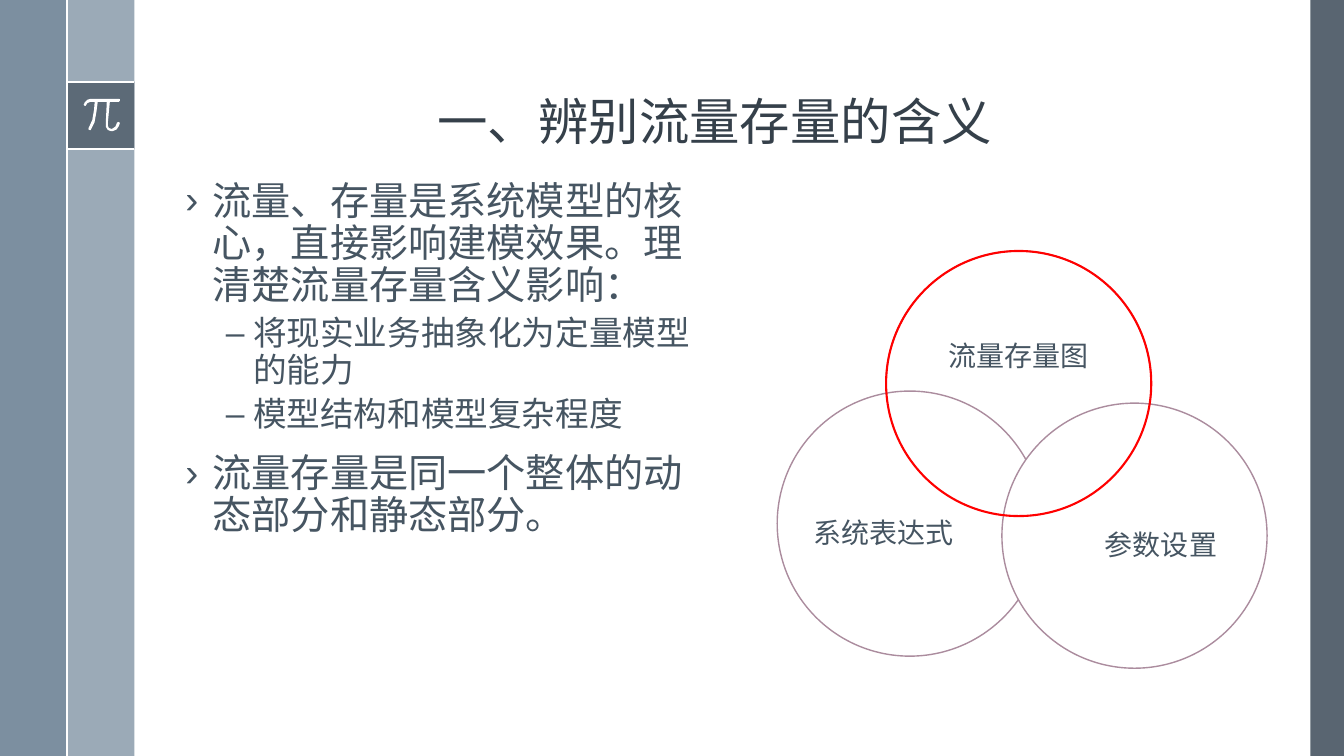
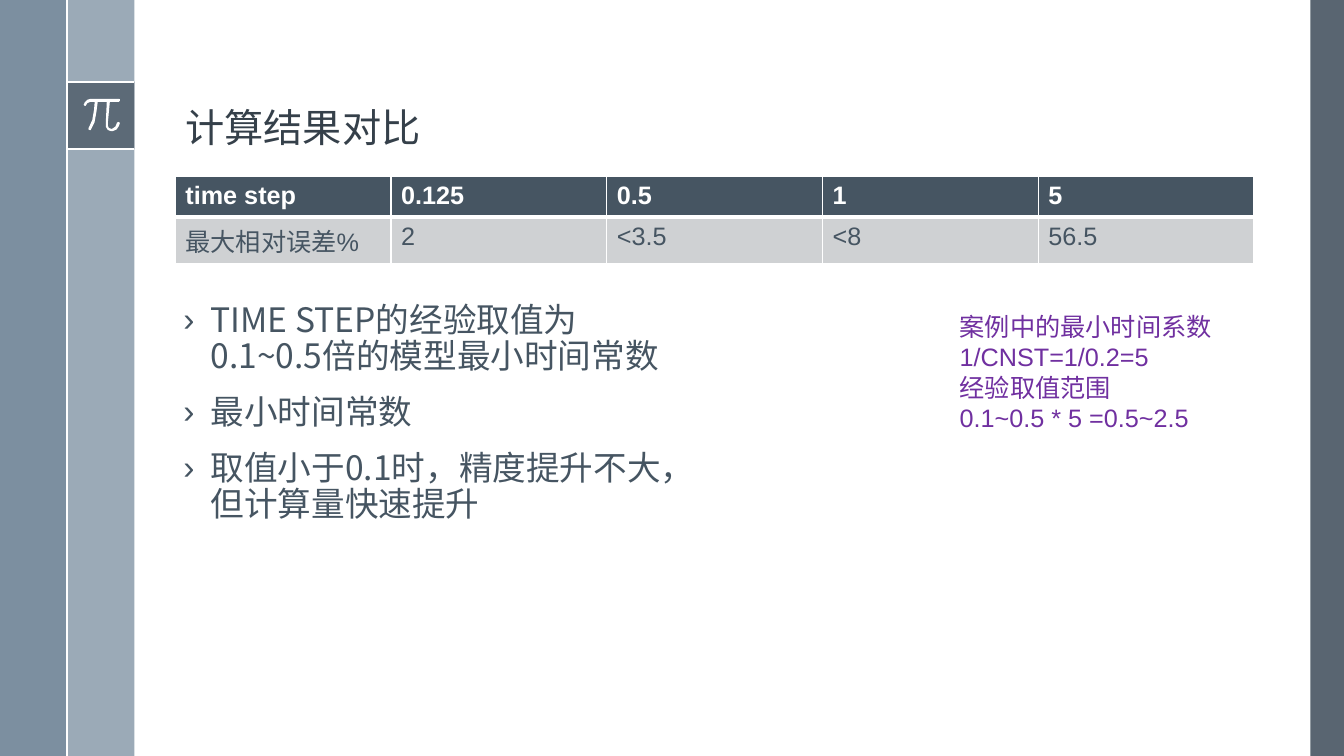
import pptx
import pptx.util
import pptx.oxml
import pptx.oxml.ns
import pptx.dml.color
import pptx.enum.shapes
import pptx.enum.text
from lxml import etree

Pt = pptx.util.Pt
RGB = pptx.dml.color.RGBColor
SHAPE = pptx.enum.shapes.MSO_SHAPE
ANCHOR = pptx.enum.text.MSO_ANCHOR
AUTO_SIZE = pptx.enum.text.MSO_AUTO_SIZE
ALIGN = pptx.enum.text.PP_ALIGN
qn = pptx.oxml.ns.qn

SLATE = RGB(0x47, 0x55, 0x62)
STEEL = RGB(0x6A, 0x80, 0x93)
MIST = RGB(0x9B, 0xAA, 0xB7)
INK = RGB(0x35, 0x40, 0x4A)
TEXT = RGB(0x46, 0x55, 0x62)
CELL = RGB(0xCF, 0xD1, 0xD3)
MAUVE = RGB(0xAB, 0x8C, 0x9E)
RED = RGB(0xFF, 0x00, 0x00)
PURPLE = RGB(0x70, 0x30, 0xA0)
WHITE = RGB(0xFF, 0xFF, 0xFF)
CJK, LATIN = "Noto Sans CJK SC", "Arial"

deck = pptx.Presentation()
deck.slide_width = pptx.util.Inches(13.33)
deck.slide_height = pptx.util.Inches(7.5)
COL, ROW = deck.slide_width / 100, deck.slide_height / 100
BAND = 5 * COL
LEFT, WIDTH = 13.05, 80.25


def box(left, top, width, height):
    """Turn hundredths of the slide's size into lengths."""
    return [round(n) for n in (left * COL, top * ROW, width * COL, height * ROW)]


def paint(shape, fill=None, opacity=100, line=None, weight=1):
    shape.shadow.inherit = False
    if fill is None:
        shape.fill.background()
    else:
        shape.fill.solid()
        shape.fill.fore_color.rgb = fill
        if opacity < 100:
            color = shape._element.spPr.find(qn("a:solidFill"))[0]
            etree.SubElement(color, qn("a:alpha"), val=str(opacity * 1000))
    if line is None:
        shape.line.fill.background()
    else:
        shape.line.color.rgb = line
        shape.line.width = Pt(weight)


# Shared text styles on the master
master = deck.slide_master
styles = [
    ("title", 1, 36, INK, 'algn="ctr"', 0, None),
    ("body", 1, 28, TEXT, 'marL="246888" indent="-246888"', 14, "›"),
    ("body", 2, 24, TEXT, 'marL="612648" indent="-246888"', 6, "–"),
]
for kind, level, size, color, layout, before, bullet in styles:
    mark = f'<a:buFont typeface="{LATIN}"/><a:buChar char="{bullet}"/>' if bullet else "<a:buNone/>"
    style = pptx.oxml.parse_xml(
        f'<a:lvl{level}pPr {pptx.oxml.ns.nsdecls("a")} {layout}>'
        f'<a:lnSpc><a:spcPct val="90000"/></a:lnSpc>'
        f'<a:spcBef><a:spcPts val="{before * 100}"/></a:spcBef>{mark}'
        f'<a:defRPr sz="{size * 100}"><a:solidFill><a:srgbClr val="{color}"/></a:solidFill>'
        f'<a:latin typeface="{CJK}"/><a:ea typeface="{CJK}"/></a:defRPr></a:lvl{level}pPr>')
    old = master.element.find(f".//{qn(f'p:{kind}Style')}/{qn(f'a:lvl{level}pPr')}")
    old.getparent().replace(old, style)

areas = [(LEFT, 2.53, WIDTH, 18.13), (LEFT, 23.33, WIDTH, 66.67)]
for holder, area in zip(master.placeholders, areas):
    holder.left, holder.top, holder.width, holder.height = box(*area)
    holder.text_frame.auto_size = AUTO_SIZE.NONE
master.placeholders[0].text_frame.vertical_anchor = ANCHOR.BOTTOM

meaning, results = [deck.slides.add_slide(deck.slide_layouts[1]) for _ in range(2)]

# Shared bands, rules and pi sign, drawn once and moved to the master
frame = []
bands = [
    ((97.5, 0, 2.5, 100), SLATE, 90),
    ((5, 0, 5, 100), MIST, 100),
    ((0, 0, 5, 100), STEEL, 88),
    ((5, 10.8, 5, 8.87), SLATE, 75),
]
for area, color, opacity in bands:
    band = meaning.shapes.add_shape(SHAPE.RECTANGLE, *box(*area))
    paint(band, color, opacity)
    frame.append(band)

for x1, y1, x2, y2 in [(5, 10.8, 10, 10.8), (5, 19.67, 10, 19.67), (5, 0, 5, 100)]:
    start, end = box(x1, y1, 0, 0)[:2], box(x2, y2, 0, 0)[:2]
    rule = meaning.shapes.add_connector(
        pptx.enum.shapes.MSO_CONNECTOR.STRAIGHT, *start, *end)
    rule.line.color.rgb = WHITE
    rule.line.width = Pt(1.5)
    etree.SubElement(rule._element.spPr, qn("a:effectLst"))
    frame.append(rule)

# Outline in thousandths of an inch
pi_points = [
    (1180, 980), (900, 980), (866, 990), (842, 1015), (830, 1040), (840, 1050),
    (850, 1050), (868, 1022), (900, 1010), (940, 1010), (933, 1090), (916, 1190),
    (880, 1270), (877, 1283), (890, 1290), (900, 1290), (938, 1215), (958, 1105),
    (970, 1010), (1060, 1010), (1050, 1220), (1052, 1260), (1070, 1290),
    (1100, 1300), (1120, 1300), (1157, 1285), (1180, 1250), (1190, 1220),
    (1180, 1210), (1162, 1215), (1146, 1255), (1110, 1280), (1080, 1270),
    (1072, 1250), (1070, 1220), (1090, 1010), (1180, 1010), (1190, 1000),
    (1190, 985)]
outline = meaning.shapes.build_freeform(*pi_points[0], scale=914.4)
outline.add_line_segments(pi_points[1:], close=True)
pi_sign = outline.convert_to_shape()
paint(pi_sign, WHITE)
frame.append(pi_sign)

master_tree = master.element.cSld.spTree
for number, part in enumerate(frame):
    part._element.xpath(".//p:cNvPr")[0].set("id", str(100 + number))
    master_tree.insert(2 + number, part._element)

# Titles and lists
pages = [
    (meaning, "一、辨别流量存量的含义", 36, ALIGN.CENTER, (LEFT, 23.33, 40.2, 66.67), [
        (0, 28, "流量、存量是系统模型的核心，直接影响建模效果。理清楚流量存量含义影响："),
        (1, 24, "将现实业务抽象化为定量模型的能力"),
        (1, 24, "模型结构和模型复杂程度"),
        (0, 28, "流量存量是同一个整体的动态部分和静态部分。")]),
    (results, "计算结果对比", 28, ALIGN.LEFT, (12.9, 39.47, 38.1, 37.2), [
        (0, 24, "TIME STEP的经验取值为0.1~0.5倍的模型最小时间常数"),
        (0, 24, "最小时间常数"),
        (0, 24, "取值小于0.1时，精度提升不大，但计算量快速提升")]),
]
for slide, heading, heading_size, alignment, area, points in pages:
    title, body = slide.placeholders
    heading_line = title.text_frame.paragraphs[0]
    heading_line.alignment = alignment
    run = heading_line.add_run()
    run.text = heading
    run.font.size = Pt(heading_size)
    body.left, body.top, body.width, body.height = box(*area)
    for index, (level, size, words) in enumerate(points):
        frame_text = body.text_frame
        point = frame_text.add_paragraph() if index else frame_text.paragraphs[0]
        point.level = level
        run = point.add_run()
        run.text = words
        run.font.size = Pt(size)

# Three overlapping circles; label centres are shares of the diameter
diameter = round(19.73 * COL)
label_width, label_height = box(0, 0, 14, 7)[2:]
circles = [
    ("流量存量图", 65.93, 33.2, 0.5, 0.4),
    ("系统表达式", 57.83, 51.73, 0.4, 0.54),
    ("参数设置", 74.55, 53.33, 0.6, 0.54),
]
for words, left, top, across, down in circles:
    x, y = box(left, top, 0, 0)[:2]
    circle = meaning.shapes.add_shape(SHAPE.OVAL, x, y, diameter, diameter)
    paint(circle, WHITE, line=MAUVE)
    label = meaning.shapes.add_textbox(
        round(x + across * diameter - label_width / 2),
        round(y + down * diameter - label_height / 2), label_width, label_height)
    label_text = label.text_frame
    label_text.word_wrap = True
    label_text.vertical_anchor = ANCHOR.MIDDLE
    label_text.margin_left = label_text.margin_right = 0
    label_text.margin_top = label_text.margin_bottom = 0
    label_line = label_text.paragraphs[0]
    label_line.alignment = ALIGN.CENTER
    label_line.line_spacing = 0.9
    run = label_line.add_run()
    run.text = words
    run.font.name, run.font.size = LATIN, Pt(20)
    run.font.color.rgb = TEXT

highlight = meaning.shapes.add_shape(
    SHAPE.OVAL, *box(*circles[0][1:3], 0, 0)[:2], diameter, diameter)
paint(highlight, line=RED, weight=1.5)

# Error table
errors = [
    ["time step", "0.125", "0.5", "1", "5"],
    ["最大相对误差%", "2", "<3.5", "<8", "56.5"],
]
error_table = results.shapes.add_table(
    len(errors), len(errors[0]), *box(LEFT, 23.33, WIDTH, 10.8)).table
for row, values in enumerate(errors):
    header = row == 0
    for column, value in enumerate(values):
        cell = error_table.cell(row, column)
        cell.fill.solid()
        cell.fill.fore_color.rgb = TEXT if header else CELL
        run = cell.text_frame.paragraphs[0].add_run()
        run.text = value
        run.font.name, run.font.size, run.font.bold = LATIN, Pt(18), header
        run.font.color.rgb = WHITE if header else TEXT
        for order, side in enumerate("LRTB"):
            thick = side == ("B" if header else "T")
            cell._tc.get_or_add_tcPr().insert(order, pptx.oxml.parse_xml(
                f'<a:ln{side} {pptx.oxml.ns.nsdecls("a")} w="{Pt(3 if thick else 1)}">'
                f'<a:solidFill><a:srgbClr val="{WHITE}"/></a:solidFill></a:ln{side}>'))

# Worked example beside the list
example = results.shapes.add_textbox(*box(70.67, 40.53, 20.48, 17.47)).text_frame
example.word_wrap = False
example.auto_size = AUTO_SIZE.SHAPE_TO_FIT_TEXT
steps = ["案例中的最小时间系数", "1/CNST=1/0.2=5", "经验取值范围", "0.1~0.5 * 5 =0.5~2.5"]
for index, step in enumerate(steps):
    step_line = example.add_paragraph() if index else example.paragraphs[0]
    run = step_line.add_run()
    run.text = step
    run.font.name, run.font.size = LATIN, Pt(18)
    run.font.color.rgb = PURPLE

deck.save("out.pptx")
